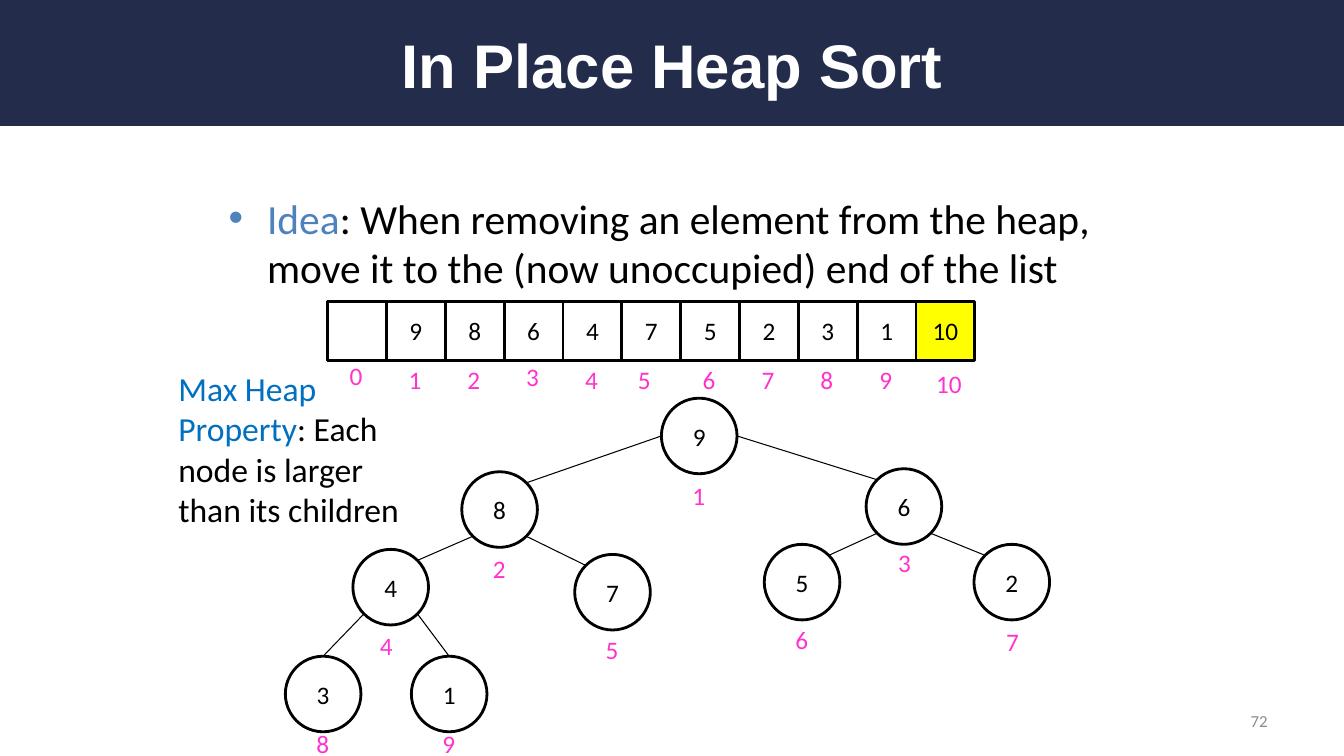
import dataclasses
import typing

import lxml.etree
import pptx
import pptx.dml.color
import pptx.enum.shapes
import pptx.enum.text
import pptx.oxml.ns
import pptx.util

Inches = pptx.util.Inches
Align = pptx.enum.text.PP_ALIGN
Anchor = pptx.enum.text.MSO_ANCHOR
Preset = pptx.enum.shapes.MSO_SHAPE

COLORS = {
    "navy": "232D4B",
    "white": "FFFFFF",
    "black": "000000",
    "idea": "4F81BD",
    "property": "0070C0",
    "index": "FF33CC",
    "removed": "FFFF00",
    "page": "8C8C8C",
}
NODE_SIZE = 0.75
CELL_SIZE = 6.42 / 11
ARRAY_LEFT, ARRAY_TOP = 3.25, 2.99
ARRAY_VALUES = ["", "9", "8", "6", "4", "7", "5", "2", "3", "1", "10"]
NEAR = 0.5 - 0.5 ** 0.5 / 2
FAR = 1 - NEAR


@dataclasses.dataclass(frozen=True)
class Node:
    left: float
    top: float
    index_left: float
    index_top: float

    def point(self, across: float, down: float) -> tuple[float, float]:
        return self.left + across * NODE_SIZE, self.top + down * NODE_SIZE


@dataclasses.dataclass(frozen=True)
class Span:
    text: str
    color: str
    size: float = 18
    font: str = "Calibri"
    bold: bool = False


HEAP = [
    Node(6.56, 3.95, 6.77, 4.72),
    Node(4.58, 4.68, 4.79, 5.44),
    Node(8.59, 4.65, 8.81, 5.38),
    Node(3.5, 5.45, 3.67, 6.2),
    Node(5.7, 5.5, 5.91, 6.24),
    Node(7.58, 5.4, 7.79, 6.14),
    Node(9.66, 5.4, 9.88, 6.16),
    Node(2.83, 6.51, 3.04, 7.18),
    Node(4.08, 6.51, 4.29, 7.18),
]
INDEX_NUDGES = {0: (0, -0.04), 3: (0, -0.03), 5: (-0.06, 0), 10: (-0.02, 0.03)}


def rgb(name: str) -> pptx.dml.color.RGBColor:
    return pptx.dml.color.RGBColor.from_string(COLORS[name])


def write(shape: typing.Any, spans: list[Span], align: Align = Align.LEFT,
          anchor: Anchor = Anchor.MIDDLE, wrap: bool = True) -> None:
    frame = shape.text_frame
    frame.word_wrap = wrap
    frame.vertical_anchor = anchor
    paragraph = frame.paragraphs[0]
    paragraph.alignment = align
    for span in spans:
        run = paragraph.add_run()
        run.text = span.text
        run.font.name = span.font
        run.font.size = pptx.util.Pt(span.size)
        run.font.bold = span.bold
        run.font.color.rgb = rgb(span.color)


def add_box(shapes: typing.Any, preset: Preset, left: float, top: float,
            size: float, value: str, fill: str = "white") -> None:
    box = shapes.add_shape(preset, Inches(left), Inches(top), Inches(size), Inches(size))
    box.shadow.inherit = False
    box.fill.solid()
    box.fill.fore_color.rgb = rgb(fill)
    box.line.color.rgb = rgb("black")
    box.line.width = pptx.util.Pt(2)
    if value:
        write(box, [Span(value, "black")], Align.CENTER)


def add_index(shapes: typing.Any, left: float, top: float, index: int) -> None:
    width = 0.33 if index < 10 else 0.46
    label = shapes.add_textbox(Inches(left), Inches(top), Inches(width), Inches(0.4))
    write(label, [Span(str(index), "index")], anchor=Anchor.TOP, wrap=False)
    label.text_frame.auto_size = pptx.enum.text.MSO_AUTO_SIZE.SHAPE_TO_FIT_TEXT


def add_edge(shapes: typing.Any, start: tuple[float, float], end: tuple[float, float]) -> None:
    edge = shapes.add_connector(
        pptx.enum.shapes.MSO_CONNECTOR.STRAIGHT, *(Inches(value) for value in start + end))
    edge.line.color.rgb = rgb("black")
    edge.line.width = pptx.util.Pt(0.75)
    lxml.etree.SubElement(edge.element.spPr, pptx.oxml.ns.qn("a:effectLst"))


def add_header(slide: typing.Any, width: int) -> None:
    band = slide.shapes.add_shape(Preset.RECTANGLE, 0, 0, width, Inches(1.25))
    band.shadow.inherit = False
    band.fill.solid()
    band.fill.fore_color.rgb = rgb("navy")
    band.line.fill.background()
    title = slide.shapes.title
    title.element.addprevious(band.element)
    title.left, title.top = Inches(0.67), Inches(0.17)
    title.width, title.height = Inches(12), Inches(0.92)
    write(title, [Span("In Place Heap Sort", "white", 44, "Arial", True)], Align.CENTER)


def add_texts(shapes: typing.Any) -> None:
    idea = shapes.add_textbox(Inches(2.17), Inches(1.74), Inches(9.25), Inches(1.33))
    properties = idea.text_frame.paragraphs[0]._p.get_or_add_pPr()
    properties.set("marL", str(Inches(0.38)))
    properties.set("indent", str(Inches(-0.38)))
    for tag, key, value in (("a:buFont", "typeface", "Arial"), ("a:buChar", "char", "•")):
        lxml.etree.SubElement(properties, pptx.oxml.ns.qn(tag)).set(key, value)
    write(idea, [
        Span("Idea", "idea", 29.6),
        Span(": When removing an element from the heap, move it to the "
             "(now unoccupied) end of the list", "black", 29.6),
    ])
    heap_property = shapes.add_textbox(Inches(1.67), Inches(3.6), Inches(2.42), Inches(1.72))
    write(heap_property, [
        Span("Max Heap Property", "property", 24),
        Span(": Each node is larger than its children", "black", 24),
    ], anchor=Anchor.TOP)
    page_number = shapes.add_textbox(Inches(9.56), Inches(6.95), Inches(3.11), Inches(0.4))
    write(page_number, [Span("72", "page", 12)], Align.RIGHT)


def add_tree(shapes: typing.Any) -> None:
    for index, node in enumerate(HEAP, start=1):
        add_box(shapes, Preset.OVAL, node.left, node.top, NODE_SIZE, ARRAY_VALUES[index])
        add_index(shapes, node.index_left, node.index_top, index)
    for index, child in enumerate(HEAP[1:], start=2):
        parent = HEAP[index // 2 - 1]
        is_right = index % 2
        if index < 4:
            start = parent.point(is_right, 0.5)
        else:
            start = parent.point(FAR if is_right else NEAR, FAR)
        if index < 8:
            end = child.point(NEAR if is_right else FAR, NEAR)
        else:
            end = child.point(0.5, 0)
        add_edge(shapes, start, end)


def add_array(shapes: typing.Any) -> None:
    cells = shapes.add_group_shape().shapes
    for index, value in enumerate(ARRAY_VALUES):
        left = ARRAY_LEFT + index * CELL_SIZE
        fill = "removed" if index == 10 else "white"
        add_box(cells, Preset.RECTANGLE, left, ARRAY_TOP, CELL_SIZE, value, fill)
        across, down = INDEX_NUDGES.get(index, (0, 0))
        add_index(shapes, left + 0.12 + across, 3.57 + down, index)


def main() -> None:
    presentation = pptx.Presentation()
    presentation.slide_width = Inches(13.33)
    presentation.slide_height = Inches(7.5)
    slide = presentation.slides.add_slide(presentation.slide_layouts[5])
    add_header(slide, presentation.slide_width)
    add_texts(slide.shapes)
    add_tree(slide.shapes)
    add_array(slide.shapes)
    presentation.save("out.pptx")


if __name__ == "__main__":
    main()
